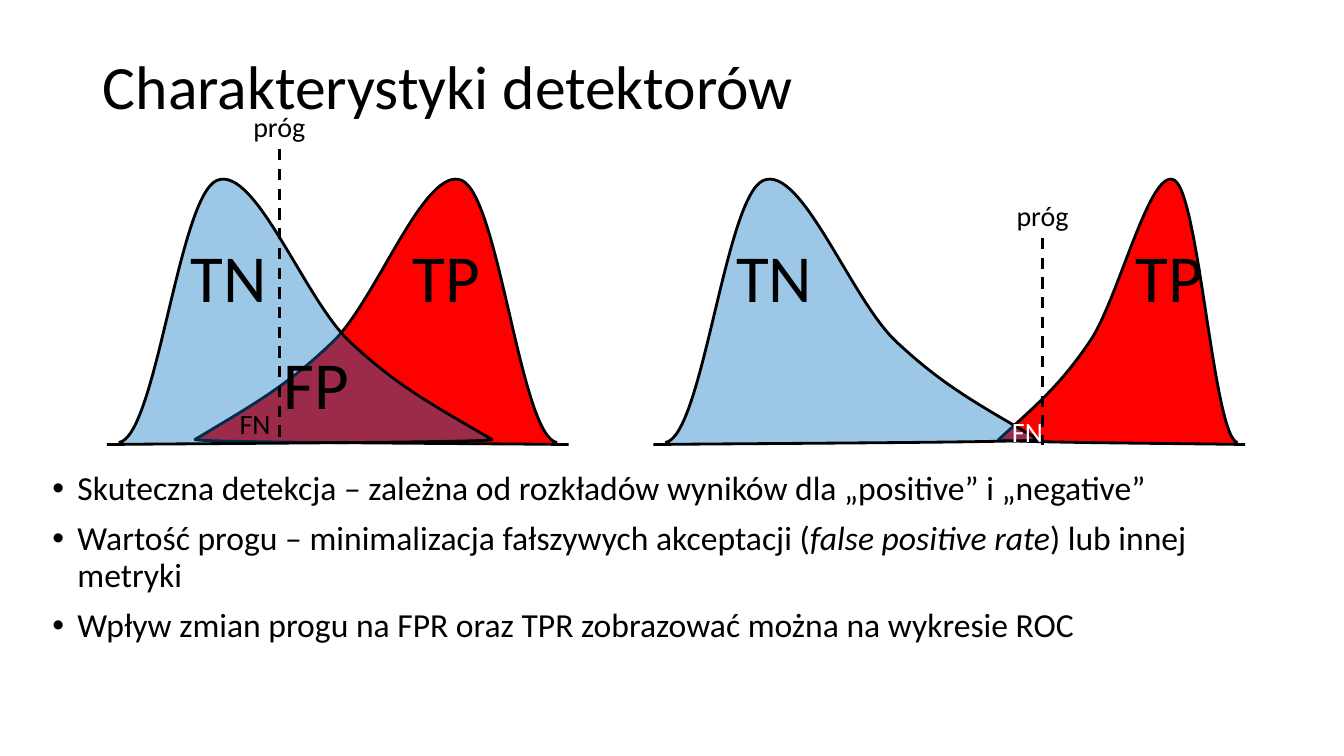
from lxml import etree
from pptx import Presentation
from pptx.dml.color import RGBColor
from pptx.enum.dml import MSO_LINE_DASH_STYLE as Dash
from pptx.enum.shapes import MSO_CONNECTOR as Connector
from pptx.enum.text import MSO_ANCHOR as Anchor, MSO_AUTO_SIZE as AutoSize, PP_ALIGN as Align
from pptx.oxml.ns import qn
from pptx.util import Inches, Pt

BASELINE = 4.41
# Cubic Bézier points of one bell: distance from its outer foot, and height on the slide.
BELL_START = (0.12, 4.39)
BELL_CURVES = [
    [(0.49, 4.33), (0.71, 1.96), (1.09, 1.79)],
    [(1.47, 1.63), (1.96, 2.97), (2.41, 3.39)],
    [(2.87, 3.82), (3.20, 4.00), (3.82, 4.36)],
    [(3.86, 4.39), (0.72, 4.40), (0.00, BASELINE)],
]

BULLETS = [
    [("Skuteczna detekcja – zależna od rozkładów wyników dla „positive” i „negative”", False)],
    [("Wartość progu – minimalizacja fałszywych akceptacji (", False),
     ("false positive rate", True),
     (") lub innej metryki", False)],
    [("Wpływ zmian progu na FPR oraz TPR zobrazować można na wykresie ROC", False)],
]


def color(hex_string):
    return RGBColor.from_string(hex_string)


class DetectorSlide:
    font = "Calibri"
    black, white, red, blue = "000000", "FFFFFF", "FF0000", "0070C0"
    line_width = 2

    def __init__(self, presentation):
        self.slide = presentation.slides.add_slide(presentation.slide_layouts[5])
        self.shapes = self.slide.shapes

    def style_font(self, paragraph, size, hex_string):
        paragraph.font.name = self.font
        paragraph.font.size = Pt(size)
        paragraph.font.color.rgb = color(hex_string)

    def style_line(self, line):
        line.color.rgb = color(self.black)
        line.width = Pt(self.line_width)

    def title(self, text, left, top, width, height):
        shape = self.shapes.title
        shape.left, shape.top = Inches(left), Inches(top)
        shape.width, shape.height = Inches(width), Inches(height)
        frame = shape.text_frame
        frame.text = text
        frame.auto_size = AutoSize.NONE
        frame.vertical_anchor = Anchor.MIDDLE
        paragraph = frame.paragraphs[0]
        paragraph.alignment = Align.LEFT
        paragraph.line_spacing = 0.9
        self.style_font(paragraph, 44, self.black)

    def bullets(self, items, left, top, width, height):
        box = self.shapes.add_textbox(Inches(left), Inches(top), Inches(width), Inches(height))
        frame = box.text_frame
        frame.word_wrap = True
        for index, runs in enumerate(items):
            paragraph = frame.add_paragraph() if index else frame.paragraphs[0]
            paragraph.line_spacing = 0.9
            paragraph.space_before = Pt(10 if index else 0)
            self.style_font(paragraph, 24, self.black)
            for text, italic in runs:
                run = paragraph.add_run()
                run.text = text
                if italic:
                    run.font.italic = True
            self.add_bullet(paragraph)

    def add_bullet(self, paragraph):
        properties = paragraph._p.get_or_add_pPr()
        properties.set("marL", str(Inches(0.25)))
        properties.set("indent", str(Inches(-0.25)))
        bullet_font = etree.Element(qn("a:buFont"), typeface="Arial")
        bullet = etree.Element(qn("a:buChar"), char="•")
        position = len(properties.findall(qn("a:lnSpc")) + properties.findall(qn("a:spcBef")))
        properties.insert(position, bullet_font)
        properties.insert(position + 1, bullet)

    def bell(self, foot, scale, fill, opacity=None):
        """Draw a skewed bell from its outer foot; a negative scale mirrors it."""
        def place(point):
            return Inches(foot + scale * point[0]), Inches(point[1])

        builder = self.shapes.build_freeform(*place(BELL_START))
        builder.add_line_segments([place(curve[-1]) for curve in BELL_CURVES], close=False)
        shape = builder.convert_to_shape()
        self.bend(shape, [[place(point) for point in curve] for curve in BELL_CURVES])
        shape.shadow.inherit = False
        shape.fill.solid()
        shape.fill.fore_color.rgb = color(fill)
        self.style_line(shape.line)
        if opacity is not None:
            fill_color = shape._element.spPr.find(qn("a:solidFill")).find(qn("a:srgbClr"))
            etree.SubElement(fill_color, qn("a:alpha"), val=str(opacity * 1000))

    def bend(self, shape, curves):
        """Turn the straight segments of a freeform into cubic curves."""
        segments = list(shape._element.iter(qn("a:lnTo")))
        for segment, curve in zip(segments, curves):
            cubic = etree.Element(qn("a:cubicBezTo"))
            for x, y in curve:
                etree.SubElement(cubic, qn("a:pt"), x=str(x - shape.left), y=str(y - shape.top))
            segment.getparent().replace(segment, cubic)

    def label(self, text, left, top, width, height, size, hex_string=black):
        box = self.shapes.add_textbox(Inches(left), Inches(top), Inches(width), Inches(height))
        frame = box.text_frame
        frame.word_wrap = False
        frame.text = text
        paragraph = frame.paragraphs[0]
        paragraph.alignment = Align.CENTER
        self.style_font(paragraph, size, hex_string)
        return box

    def small_label(self, text, left, top, width=0.88, hex_string=black):
        return self.label(text, left, top, width, 0.44, 20, hex_string)

    def large_label(self, text, left, top=2.29, width=0.88):
        return self.label(text, left, top, width, 0.91, 48)

    def threshold(self, x, top):
        """Draw a dashed threshold down to the baseline, hung from its label."""
        width = 0.72
        box = self.small_label("próg", x - width / 2, top, width)
        connector = self.shapes.add_connector(
            Connector.STRAIGHT, Inches(x), Inches(top + 0.44), Inches(x), Inches(BASELINE))
        connector.begin_connect(box, 2)
        self.style_line(connector.line)
        connector.line.dash_style = Dash.DASH
        etree.SubElement(connector._element.spPr, qn("a:effectLst"))


def main():
    presentation = Presentation()
    presentation.slide_width, presentation.slide_height = Inches(13.33), Inches(7.5)
    slide = DetectorSlide(presentation)
    slide.title("Charakterystyki detektorów", 0.92, 0.4, 11.5, 0.97)
    slide.bullets(BULLETS, 0.42, 4.63, 12.52, 2.14)

    # Strongly overlapping distributions
    slide.bell(5.64, -0.97, slide.red)
    slide.bell(1.06, 1, slide.blue, opacity=39)
    slide.threshold(2.77, 1.04)
    slide.large_label("TP", 3.99)
    slide.small_label("FN", 2.09, 3.98)
    slide.large_label("FP", 2.7, top=3.35)
    slide.large_label("TN", 1.75, width=1.04)

    # Well separated distributions
    slide.bell(12.35, -0.64, slide.red)
    slide.bell(6.48, 1, slide.blue, opacity=39)
    slide.threshold(10.34, 1.92)
    slide.large_label("TP", 11.16)
    slide.small_label("FN", 9.75, 4.06, hex_string=slide.white)
    slide.large_label("TN", 7.16, width=1.04)

    presentation.save("out.pptx")


if __name__ == "__main__":
    main()
